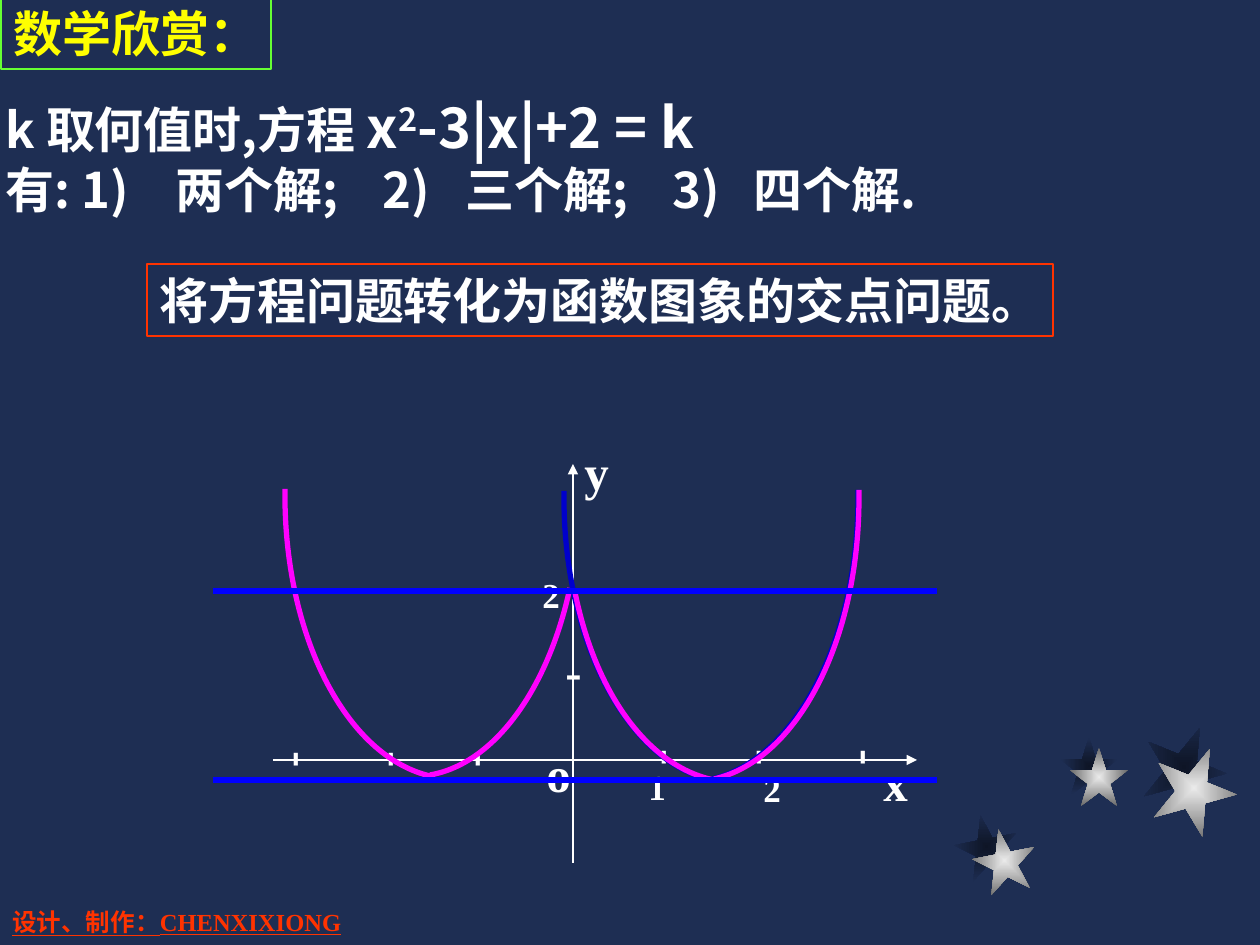
from dataclasses import dataclass

from lxml import etree
from pptx import Presentation
from pptx.dml.color import RGBColor
from pptx.enum.shapes import MSO_CONNECTOR, MSO_SHAPE
from pptx.enum.text import MSO_ANCHOR, PP_ALIGN
from pptx.oxml.ns import qn
from pptx.util import Emu, Pt

STAR = MSO_SHAPE.STAR_5_POINT
STRAIGHT = MSO_CONNECTOR.STRAIGHT
LEFT = PP_ALIGN.LEFT
TOP = MSO_ANCHOR.TOP

SCALE = 914400 / 126
SERIF = "Times New Roman"
SANS = "Noto Sans CJK SC"
SANS_KR = "Noto Sans CJK KR"
NAVY, WHITE, YELLOW = "1E2E53", "FFFFFF", "FFFF00"
RED, GREEN, BLUE = "FF3300", "66FF33", "0000FF"
DARK_BLUE, MAGENTA = "0000CC", "FF00FF"


@dataclass
class Run:
    text: str
    size: int = 28
    font: str = SERIF
    color: str = WHITE
    underline: bool = False
    superscript: bool = False


@dataclass
class Box:
    x: int
    y: int
    w: int
    h: int
    paragraphs: list[list[Run]]
    border: str | None = None
    rotation: int = 0
    tabs: tuple[int, ...] = ()


@dataclass
class Star:
    x: int
    y: int
    size: int
    rotation: int
    inner: str
    outer: str


@dataclass
class Curve:
    color: str
    points: list[tuple[int, int]]


@dataclass
class Line:
    start: tuple[int, int]
    end: tuple[int, int]
    color: str
    width: float
    arrow: bool = False


def px(value: float) -> Emu:
    return Emu(round(value * SCALE))


def rgb(value: str) -> RGBColor:
    return RGBColor.from_string(value)


def style_line(line, color: str, width: float) -> None:
    line.color.rgb = rgb(color)
    line.width = Pt(width)


def add_run(p, run: Run) -> None:
    r = p.add_run()
    r.text = run.text
    r.font.size = Pt(run.size)
    r.font.name = run.font
    r.font.bold = True
    r.font.underline = run.underline
    r.font.color.rgb = rgb(run.color)
    rpr = r.font._element
    if run.superscript:
        rpr.set("baseline", "30000")
    east_asian = etree.Element(qn("a:ea"))
    east_asian.set("typeface", SANS if run.font == SERIF else run.font)
    rpr.find(qn("a:latin")).addnext(east_asian)


def add_box(s, box: Box) -> None:
    sp = s.shapes.add_textbox(px(box.x), px(box.y), px(box.w), px(box.h))
    sp.rotation = box.rotation
    if box.border:
        style_line(sp.line, box.border, 0.75)
    tf = sp.text_frame
    tf.word_wrap = False
    tf.vertical_anchor = TOP
    for i, runs in enumerate(box.paragraphs):
        p = tf.paragraphs[0] if i == 0 else tf.add_paragraph()
        p.alignment = LEFT
        if box.tabs:
            tab_list = etree.SubElement(p._p.get_or_add_pPr(), qn("a:tabLst"))
            for tab in box.tabs:
                etree.SubElement(tab_list, qn("a:tab"), pos=str(px(tab)), algn="l")
        for run in runs:
            add_run(p, run)


def add_star(s, star: Star) -> None:
    sp = s.shapes.add_shape(STAR, px(star.x), px(star.y), px(star.size), px(star.size))
    sp.rotation = star.rotation
    sp.shadow.inherit = False
    sp.line.fill.background()
    sp.fill.gradient()
    for stop, color in zip(sp.fill.gradient_stops, (star.inner, star.outer)):
        stop.color.rgb = rgb(color)
    grad = sp._element.spPr.find(qn("a:gradFill"))
    grad.remove(grad.find(qn("a:lin")))
    path = etree.SubElement(grad, qn("a:path"), path="rect")
    etree.SubElement(path, qn("a:fillToRect"), l="50000", t="50000", r="50000", b="50000")


def add_curve(s, curve: Curve) -> None:
    start, *rest = curve.points
    builder = s.shapes.build_freeform(*start, scale=SCALE)
    builder.add_line_segments(rest, close=False)
    sp = builder.convert_to_shape()
    sp.shadow.inherit = False
    sp.fill.background()
    style_line(sp.line, curve.color, 3)
    segments = list(sp._element.iter(qn("a:lnTo")))[:3]
    bezier = etree.Element(qn("a:cubicBezTo"))
    segments[0].addprevious(bezier)
    for segment in segments:
        bezier.append(segment[0])
        segment.getparent().remove(segment)


def add_line(s, line: Line) -> None:
    c = s.shapes.add_connector(STRAIGHT, *map(px, line.start + line.end))
    style_line(c.line, line.color, line.width)
    if line.arrow:
        etree.SubElement(c.line._get_or_add_ln(), qn("a:tailEnd"), type="triangle")
    etree.SubElement(c._element.spPr, qn("a:effectLst"))


STARS = [
    Star(955, 815, 63, 349, "0E1526", NAVY),
    Star(1060, 737, 58, 0, "0E1526", NAVY),
    Star(1142, 725, 84, 22, "0E1526", NAVY),
    Star(973, 829, 63, 349, "EAEAEA", "6C6C6C"),
    Star(1070, 748, 58, 0, "EAEAEA", "6C6C6C"),
    Star(1152, 746, 84, 22, "EAEAEA", "6C6C6C"),
]
CREDIT = Box(0, 901, 397, 43, [[Run("设计、制作：CHENXIXIONG", 14, color=RED, underline=True)]])
QUESTION = Box(-7, 86, 1290, 147, [
    [Run("k 取何值时,方程 ", font=SANS_KR), Run("x", 32, SANS_KR),
     Run("2", 32, SANS_KR, superscript=True), Run("-3|x|+2 = k", 32, SANS_KR)],
    [Run("有: 1)\t两个解;\t2)\t三个解;\t3)\t四个解.", font=SANS_KR)],
], tabs=(170, 377, 460, 667, 748))
HINT = Box(147, 264, 906, 72, [[Run("将方程问题转化为函数图象的交点问题。")]], RED)
TITLE = Box(1, -3, 270, 72, [[Run("数学欣赏：", font=SANS, color=YELLOW)]], GREEN)

AXES = [
    Line((273, 760), (917, 760), WHITE, 0.75, True),
    Line((573, 863), (573, 464), WHITE, 0.75, True),
]
LEVELS = [Line((213, y), (937, y), BLUE, 3) for y in (591, 780)]
AXIS_NAMES = [("o", 534, 737), ("x", 871, 746), ("y", 572, 435)]
NUMBERS = [("1", 636, 759), ("2", 751, 761), ("2", 530, 567)]
TICKS = [(553, 634, 0), (553, 548, 0), (651, 722, 90), (746, 722, 90),
         (850, 722, 90), (465, 724, 90), (378, 724, 90), (283, 724, 90)]
LABELS = (
    [Box(x, y, 49, 72, [[Run(t)]]) for t, x, y in AXIS_NAMES]
    + [Box(x, y, 41, 72, [[Run("-")]], rotation=a) for x, y, a in TICKS]
    + [Box(x, y, 43, 55, [[Run(t, 20)]]) for t, x, y in NUMBERS]
)
CURVES = [
    Curve(DARK_BLUE, [(713, 780), (629, 764), (564, 643), (564, 498), (564, 491)]),
    Curve(DARK_BLUE, [(712, 779), (795, 760), (858, 640), (858, 498), (858, 490)]),
    Curve(MAGENTA, [(714, 780), (650, 767), (596, 696), (575, 592)]),
    Curve(MAGENTA, [(714, 779), (798, 760), (859, 640), (859, 498), (859, 490)]),
    Curve(MAGENTA, [(430, 775), (494, 764), (548, 690), (570, 588)]),
    Curve(MAGENTA, [(435, 777), (349, 761), (285, 640), (285, 495), (285, 489)]),
]


def main() -> None:
    prs = Presentation()
    prs.slide_width, prs.slide_height = px(1260), px(945)
    s = prs.slides.add_slide(prs.slide_layouts[6])
    s.background.fill.solid()
    s.background.fill.fore_color.rgb = rgb(NAVY)
    for star in STARS:
        add_star(s, star)
    for box in (CREDIT, QUESTION):
        add_box(s, box)
    for axis in AXES:
        add_line(s, axis)
    for label in LABELS:
        add_box(s, label)
    for curve in CURVES:
        add_curve(s, curve)
    add_box(s, HINT)
    for level in LEVELS:
        add_line(s, level)
    add_box(s, TITLE)
    prs.save("out.pptx")


if __name__ == "__main__":
    main()
